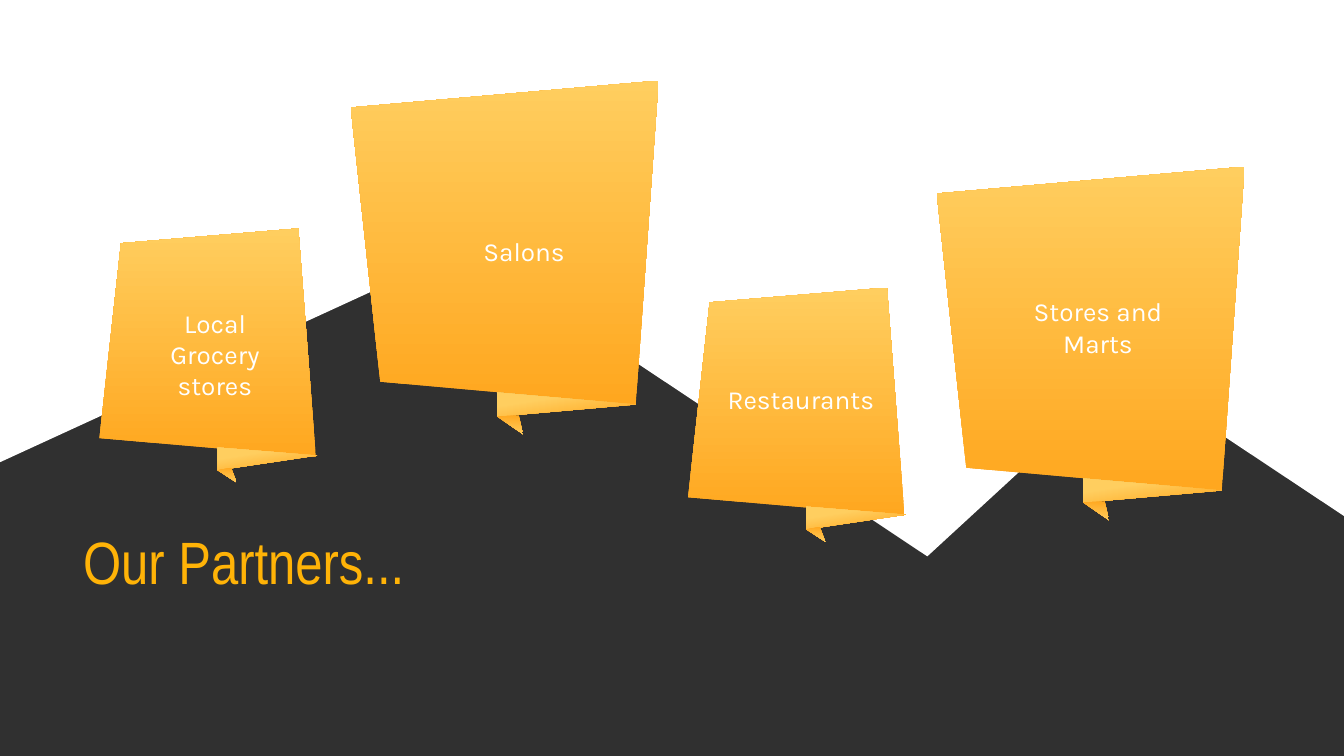
from dataclasses import dataclass

from lxml.etree import SubElement
from pptx import Presentation
from pptx.dml.color import RGBColor
from pptx.enum.shapes import MSO_SHAPE
from pptx.enum.text import MSO_ANCHOR, PP_ALIGN
from pptx.oxml.ns import qn
from pptx.util import Inches, Pt

COLUMNS, ROWS = 100, 56.25
CELL = Inches(10) / COLUMNS

Point = tuple[float, float]


@dataclass(frozen=True)
class Theme:
    backdrop: RGBColor = RGBColor(0x38, 0x38, 0x38)
    veil: RGBColor = RGBColor(0x26, 0x26, 0x26)
    veil_opacity: int = 40
    white: RGBColor = RGBColor(0xFF, 0xFF, 0xFF)
    deep: RGBColor = RGBColor(0xFF, 0xA7, 0x1F)
    light: RGBColor = RGBColor(0xFF, 0xCE, 0x5F)
    title_color: RGBColor = RGBColor(0xFF, 0xB3, 0x07)
    title_font: str = "Arial Narrow"
    label_font: str = "Karla"
    title_size: int = 32
    label_size: int = 14


@dataclass(frozen=True)
class Facet:
    points: tuple[Point, ...]
    angle: int
    light_stop: float = 1.0


@dataclass(frozen=True)
class Area:
    column: float
    row: float
    columns: float
    rows: float

    def lengths(self) -> list[int]:
        return [grid(n) for n in (self.column, self.row, self.columns, self.rows)]


@dataclass(frozen=True)
class Bubble:
    column: float
    row: float
    facets: tuple[Facet, ...]
    label: str
    label_area: Area


THEME = Theme()

SMALL = (
    Facet(((1.6, 1.1), (14.8, 0), (16.1, 17), (0, 15.6)), 90),
    Facet(((8.8, 16.3), (16.2, 16.9), (8.8, 18)), 99, 0.7),
    Facet(((8.8, 18), (9.8, 17.8), (10.2, 18.9)), 267),
)
LARGE = (
    Facet(((0, 2), (22.9, 0), (21.2, 24.1), (2.2, 22.4)), 90),
    Facet(((10.9, 23.2), (21.2, 24.1), (10.9, 25)), 99, 0.7),
    Facet(((10.9, 25), (12.5, 24.9), (12.8, 26.3)), 267),
)
BUBBLES = (
    Bubble(7.4, 17, SMALL, "Local Grocery stores", Area(10.8, 16.3, 10.4, 20.1)),
    Bubble(26.1, 6, LARGE, "Salons", Area(31.7, 14.5, 14.6, 8.4)),
    Bubble(51.2, 21.4, SMALL, "Restaurants", Area(52.3, 28, 14.6, 3.4)),
    Bubble(69.7, 12.4, LARGE, "Stores and Marts", Area(74.4, 17.2, 14.6, 14.3)),
)
SKY = ((0, 0), (COLUMNS, 0), (COLUMNS, 38.4), (83.9, 27.7), (69, 41.4), (34.6, 18.5), (0, 34.4))
TITLE_AREA = Area(5.2, 38.5, 57.9, 6.4)


def grid(cells: float) -> int:
    return round(cells * CELL)


def draw_outline(page, points: tuple[Point, ...], column: float = 0, row: float = 0):
    corners = [(grid(column + x), grid(row + y)) for x, y in points]
    builder = page.shapes.build_freeform(*corners[0])
    builder.add_line_segments(corners[1:], close=True)
    shape = builder.convert_to_shape()
    shape.shadow.inherit = False
    shape.line.fill.background()
    return shape


def draw_facet(page, facet: Facet, column: float, row: float) -> None:
    fill = draw_outline(page, facet.points, column, row).fill
    fill.gradient()
    fill.gradient_angle = facet.angle
    first, last = fill.gradient_stops
    first.position, first.color.rgb = 0, THEME.deep
    last.position, last.color.rgb = facet.light_stop, THEME.light


def draw_text(page, area: Area, text: str, font: str, size: int, color: RGBColor, align: PP_ALIGN) -> None:
    frame = page.shapes.add_textbox(*area.lengths()).text_frame
    frame.word_wrap = True
    frame.vertical_anchor = MSO_ANCHOR.MIDDLE
    para = frame.paragraphs[0]
    para.alignment = align
    span = para.add_run()
    span.text = text
    span.font.name = font
    span.font.size = Pt(size)
    span.font.color.rgb = color


def draw_ground(page) -> None:
    page.background.fill.solid()
    page.background.fill.fore_color.rgb = THEME.backdrop
    veil = page.shapes.add_shape(MSO_SHAPE.RECTANGLE, *Area(0, 0, COLUMNS, ROWS).lengths())
    veil.shadow.inherit = False
    veil.line.fill.background()
    veil.fill.solid()
    veil.fill.fore_color.rgb = THEME.veil
    tint = veil.fill._xPr.find(".//" + qn("a:srgbClr"))
    SubElement(tint, qn("a:alpha"), val=str(THEME.veil_opacity * 1000))
    sky = draw_outline(page, SKY)
    sky.fill.solid()
    sky.fill.fore_color.rgb = THEME.white


def draw_bubble(page, bubble: Bubble) -> None:
    for facet in bubble.facets:
        draw_facet(page, facet, bubble.column, bubble.row)
    draw_text(page, bubble.label_area, bubble.label, THEME.label_font,
              THEME.label_size, THEME.white, PP_ALIGN.CENTER)


def main() -> None:
    deck = Presentation()
    deck.slide_width, deck.slide_height = grid(COLUMNS), grid(ROWS)
    page = deck.slides.add_slide(deck.slide_layouts[6])
    draw_ground(page)
    for bubble in BUBBLES:
        draw_bubble(page, bubble)
    draw_text(page, TITLE_AREA, "Our Partners...", THEME.title_font,
              THEME.title_size, THEME.title_color, PP_ALIGN.LEFT)
    deck.save("out.pptx")


if __name__ == "__main__":
    main()
